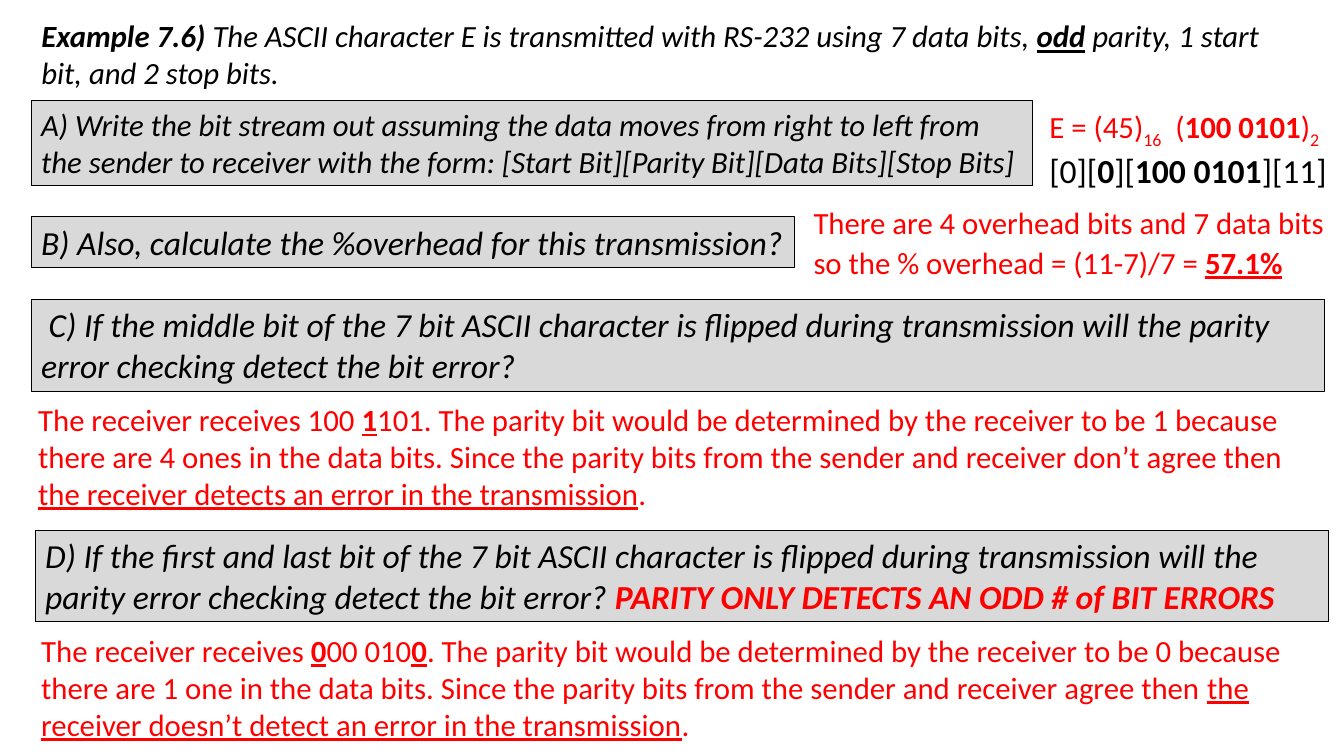
from pptx import Presentation
from pptx.dml.color import RGBColor as RGB
from pptx.enum.shapes import MSO_SHAPE as SHAPE
from pptx.enum.text import MSO_ANCHOR as ANCHOR, MSO_AUTO_SIZE as AUTO, PP_ALIGN as ALIGN
from pptx.util import Inches, Pt

COLORS = {"black": "000000", "red": "FF0000", "grey": "D9D9D9"}
FONT = "Calibri"

# Run formats; a plain string is a run without extra format
BOLD = {"bold": True}
LINE = {"underline": True}
MARK = {"bold": True, "underline": True}
SUB = {"baseline": "-25000"}
BIG = {"size": Pt(24), "color": "black"}


def add_run(p, text, fmt):
    """Add one run, formatted from a dict of font values."""
    r = p.add_run()
    r.text = text
    for name, value in fmt.items():
        if name == "color":
            r.font.color.rgb = RGB.from_string(COLORS[value])
        elif name == "baseline":
            r._r.get_or_add_rPr().set(name, value)
        else:
            setattr(r.font, name, value)


def fill_text(sp, paragraphs, base, spacing=None):
    """Write paragraphs, each a list of strings or (text, format) pairs."""
    tf = sp.text_frame
    frame = {"word_wrap": True, "auto_size": AUTO.SHAPE_TO_FIT_TEXT,
             "vertical_anchor": ANCHOR.TOP}
    for name, value in frame.items():
        setattr(tf, name, value)
    for i, runs in enumerate(paragraphs):
        p = tf.paragraphs[0] if i == 0 else tf.add_paragraph()
        for name, value in {"alignment": ALIGN.LEFT, **(spacing or {})}.items():
            setattr(p, name, value)
        for run in runs:
            text, extra = (run, {}) if isinstance(run, str) else run
            add_run(p, text, {"name": FONT, **base, **extra})


def add_heading(s, box, runs):
    sp = s.shapes.title
    sp.left, sp.top, sp.width, sp.height = map(Inches, box)
    fill_text(sp, [runs], {"size": Pt(22), "color": "black", "bold": False, "italic": True})


def add_question(s, box, size, runs):
    sp = s.shapes.add_shape(SHAPE.RECTANGLE, *map(Inches, box))
    sp.shadow.inherit = False
    sp.fill.solid()
    sp.fill.fore_color.rgb = RGB.from_string(COLORS["grey"])
    sp.line.color.rgb = RGB.from_string(COLORS["black"])
    sp.line.width = Pt(0.75)
    fill_text(sp, [runs], {"size": Pt(size), "color": "black", "italic": True})


def add_answer(s, box, paragraphs, spacing=None):
    sp = s.shapes.add_textbox(*map(Inches, box))
    fill_text(sp, paragraphs, {"size": Pt(22), "color": "red"}, spacing)


def main():
    prs = Presentation()
    prs.slide_width, prs.slide_height = Inches(13.33), Inches(7.5)
    s = prs.slides.add_slide(prs.slide_layouts[5])

    # Problem statement
    add_heading(s, (0.31, 0.12, 12.7, 0.84), [
        ("Example 7.6)", BOLD),
        " The ASCII character E is transmitted with RS-232 using 7 data bits, ",
        ("odd", MARK), " parity, 1 start bit, and 2 stop bits."])

    # Part A: bit stream
    add_question(s, (0.31, 1, 9.93, 0.84), 22, [
        "A) Write the bit stream out assuming the data moves from right to left from "
        "the sender to receiver with the form: "
        "[Start Bit][Parity Bit][Data Bits][Stop Bits]"])
    add_answer(s, (10.31, 1.02, 3.13, 0.88), [
        ["E = (45)", ("16", SUB), "  (", ("100 0101", BOLD), ")", ("2", SUB)],
        [("[0][", BIG), ("0", {**BIG, **BOLD}), ("][", BIG),
         ("100 0101", {**BIG, **BOLD}), ("][11]", BIG)]])

    # Part B: overhead
    add_question(s, (0.31, 2.15, 7.57, 0.5), 24, [
        "B) Also, calculate the %overhead for this transmission?"])
    add_answer(s, (7.97, 1.95, 5.32, 0.89), [[
        "There are 4 overhead bits and 7 data bits so the % overhead = (11-7)/7 = ",
        ("57.1%", MARK)]], {"line_spacing": 1.07, "space_after": Pt(8)})

    # Part C: one flipped bit
    add_question(s, (0.31, 2.97, 12.83, 0.91), 24, [
        " C) If the middle bit of the 7 bit ASCII character is flipped during "
        "transmission will the parity error checking detect the bit error?"])
    add_answer(s, (0.28, 3.93, 12.89, 1.21), [[
        "The receiver receives 100 ", ("1", MARK),
        "101. The parity bit would be determined by the receiver to be 1 because "
        "there are 4 ones in the data bits. Since the parity bits from the sender "
        "and receiver don’t agree then ",
        ("the receiver detects an error in the transmission", LINE), "."]])

    # Part D: two flipped bits
    add_question(s, (0.35, 5.26, 12.83, 0.91), 24, [
        "D) If the first and last bit of the 7 bit ASCII character is flipped during "
        "transmission will the parity error checking detect the bit error? ",
        ("PARITY ONLY DETECTS AN ODD # of BIT ERRORS", {**BOLD, "color": "red"})])
    add_answer(s, (0.31, 6.22, 12.89, 1.21), [[
        "The receiver receives ", ("0", MARK), "00 010", ("0", MARK),
        ". The parity bit would be determined by the receiver to be 0 because "
        "there are 1 one in the data bits. Since the parity bits from the sender "
        "and receiver agree then ",
        ("the receiver doesn’t detect an error in the transmission", LINE), "."]])

    prs.save("out.pptx")


if __name__ == "__main__":
    main()
